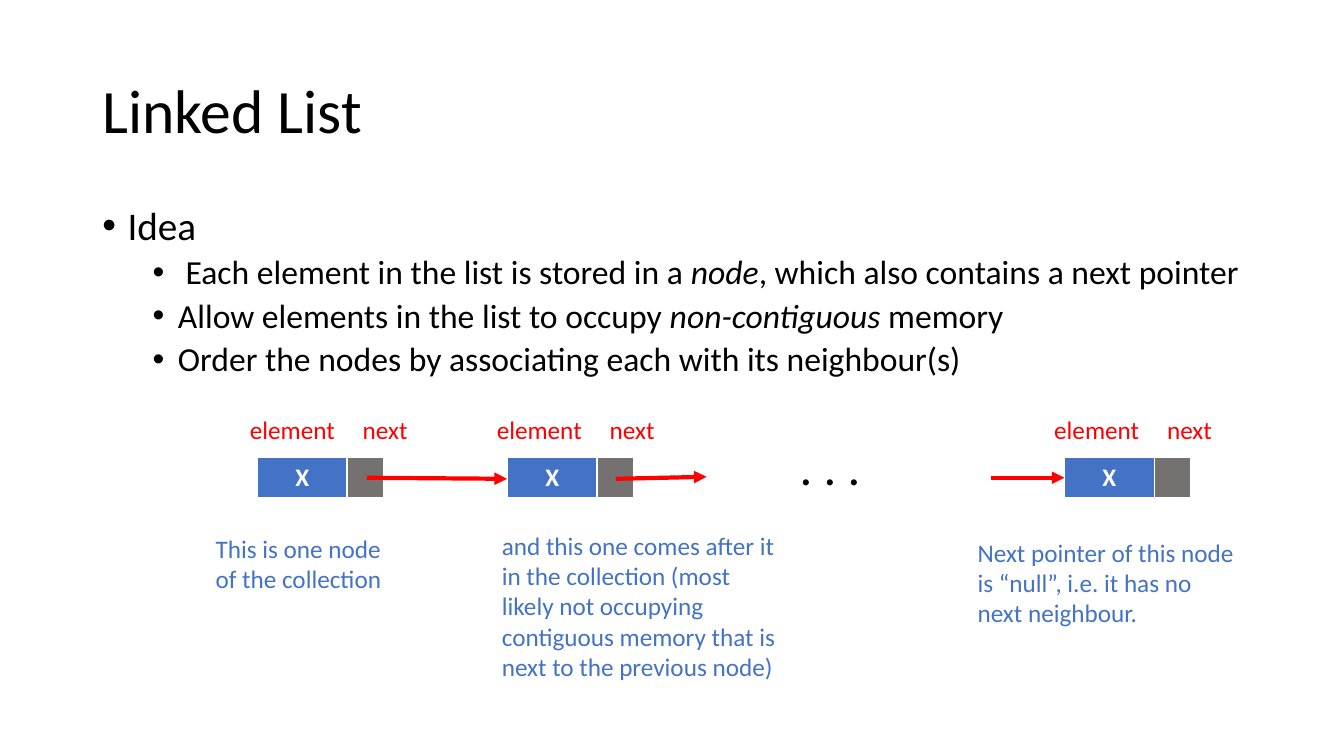
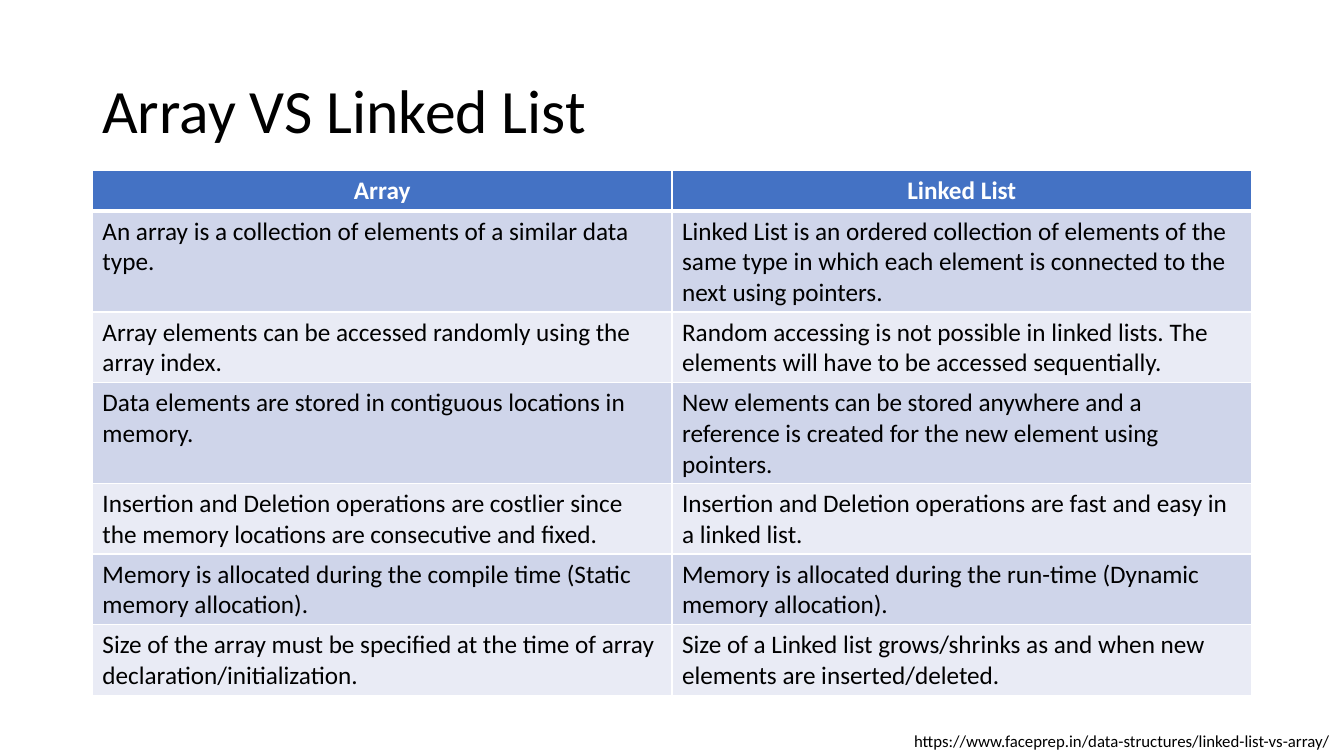
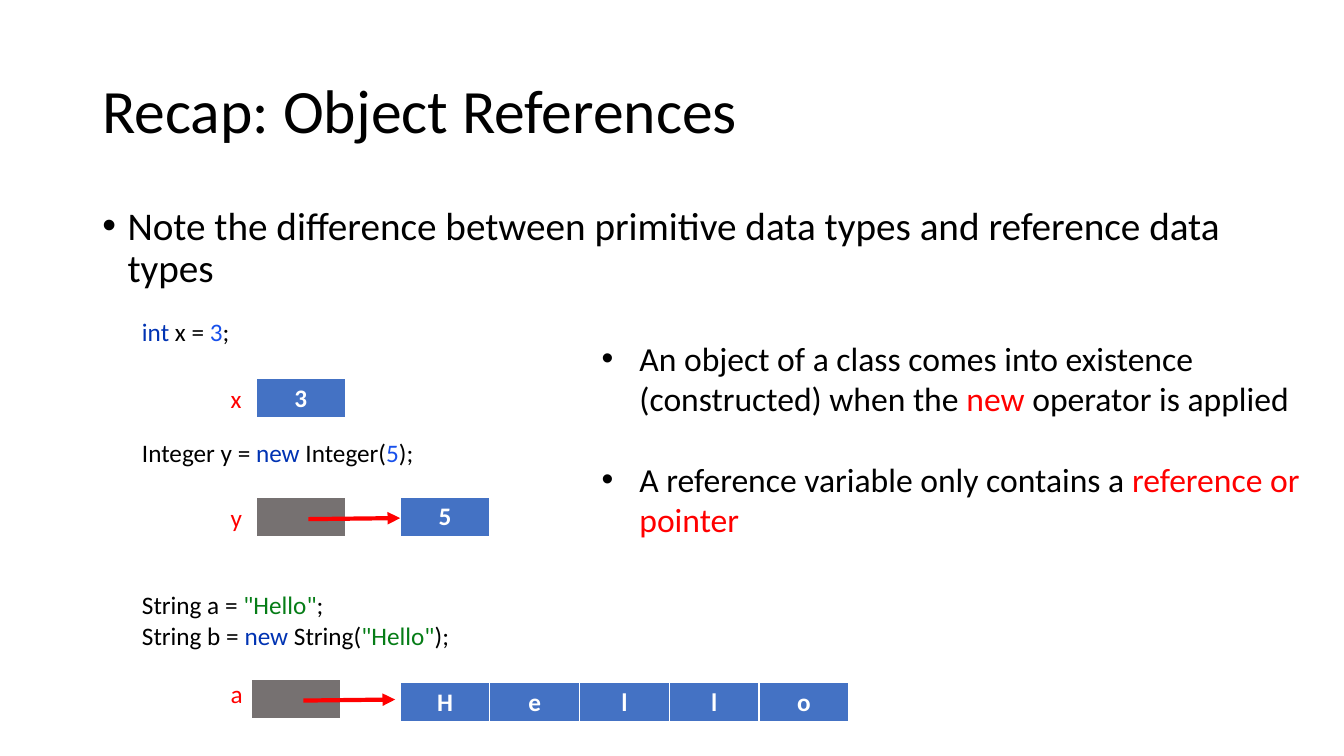
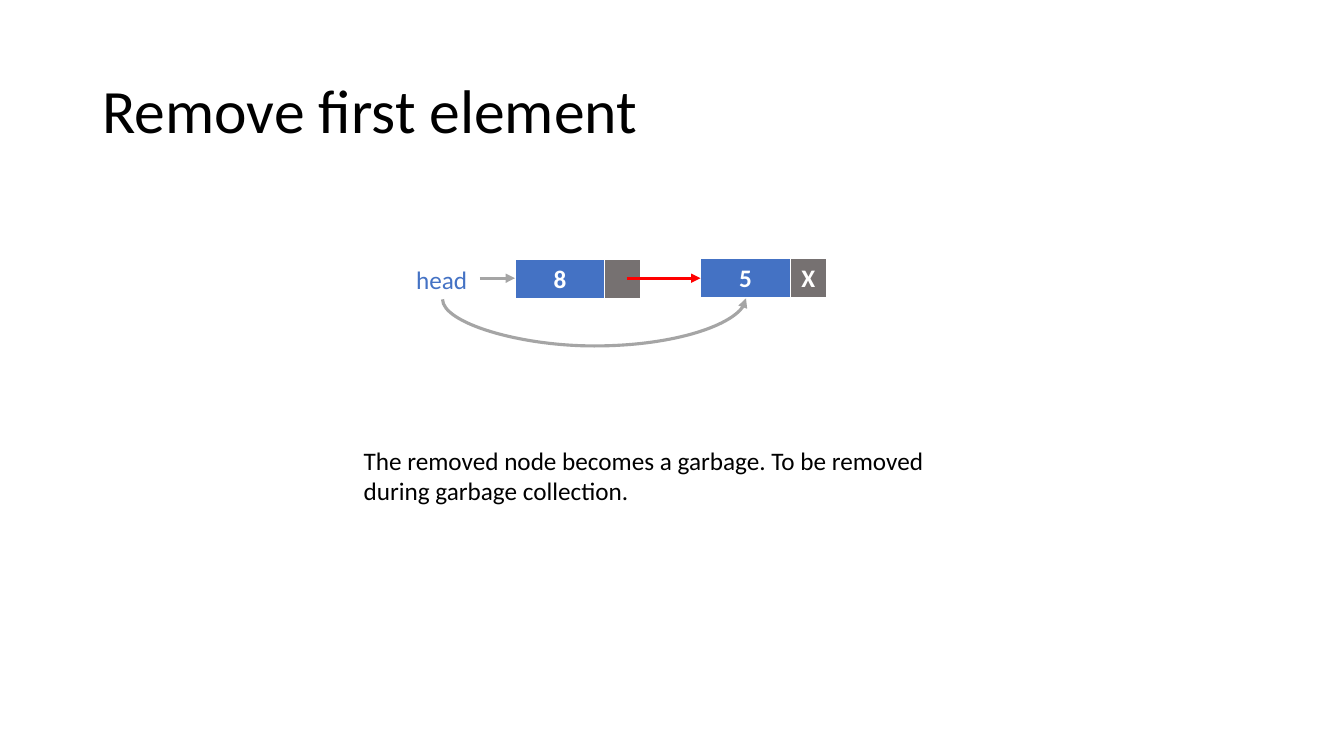
import dataclasses

import lxml.etree
import pptx
import pptx.dml.color
import pptx.enum.shapes
import pptx.enum.text
import pptx.oxml.ns
import pptx.util


@dataclasses.dataclass(frozen=True)
class Theme:
    font: str = "Calibri"
    ink: str = "000000"
    paper: str = "FFFFFF"
    blue: str = "4472C4"
    pointer: str = "767171"
    red: str = "FF0000"
    silver: str = "A5A5A5"
    band_dark: str = "CFD5EA"
    band_light: str = "E9EBF5"
    keyword: str = "0033B3"
    number: str = "1750EB"
    string: str = "067D17"
    title: int = 44
    dots: int = 36
    lead: int = 28
    point: int = 24
    text: int = 18
    source: int = 12


theme = Theme()
rgb = pptx.dml.color.RGBColor.from_string
qn = pptx.oxml.ns.qn
sub = lxml.etree.SubElement

deck = pptx.Presentation()
deck.slide_width = pptx.util.Inches(13.33)
deck.slide_height = pptx.util.Inches(7.5)
COL = deck.slide_width / 80
ROW = deck.slide_height / 45

# Shared measures, in grid columns and rows
EDGE, CONTENT = 5.5, 69
VALUE, POINTER, CELL_ROW = 5.34, 2.15, 2.43
LABEL_ROW = 2.4


def add_text(slide, left, top, width, height, paragraphs, size=theme.text,
             colour=theme.ink, spacing=None, middle=False):
    """Each paragraph is (runs, points before, bullet margin, hang, size);
    only the runs are required, and a run is (text, colour, italic)."""
    box = slide.shapes.add_textbox(round(left * COL), round(top * ROW),
                                   round(width * COL), round(height * ROW))
    frame = box.text_frame
    frame.word_wrap = True
    if middle:
        frame.vertical_anchor = pptx.enum.text.MSO_ANCHOR.MIDDLE
    for index, (runs, *style) in enumerate(paragraphs):
        before, margin, hang, own_size = style + [0, 0, 0, size][len(style):]
        paragraph = frame.paragraphs[0] if index == 0 else frame.add_paragraph()
        if hang:
            properties = paragraph._p.get_or_add_pPr()
            properties.set("marL", str(round(margin * COL)))
            properties.set("indent", str(round(-hang * COL)))
            sub(properties, qn("a:buFont"), typeface="Arial")
            sub(properties, qn("a:buChar"), char="•")
        paragraph.space_before = pptx.util.Pt(before)
        if spacing:
            paragraph.line_spacing = spacing
        for words, *look in runs:
            run = paragraph.add_run()
            run.text = words
            run.font.name = theme.font
            run.font.size = pptx.util.Pt(own_size)
            run.font.color.rgb = rgb(look[0] if look else colour)
            run.font.italic = True if len(look) > 1 else None


def add_cells(slide, left, top, widths, heights, rows, fills, header=True):
    """Table with one fill per row and white rules, heavier below the header."""
    table = slide.shapes.add_table(
        len(heights), len(widths), round(left * COL), round(top * ROW),
        round(sum(widths) * COL), round(sum(heights) * ROW)).table
    table.first_row = header
    table.horz_banding = False
    for column, width in zip(table.columns, widths):
        column.width = round(width * COL)
    for r, (height, entries, fill) in enumerate(zip(heights, rows, fills)):
        table.rows[r].height = round(height * ROW)
        heading = r == 0
        for c, words in enumerate(entries):
            cell = table.cell(r, c)
            cell.fill.solid()
            cell.fill.fore_color.rgb = rgb(fill)
            properties = cell._tc.get_or_add_tcPr()
            for place, side in enumerate(("lnL", "lnR", "lnT", "lnB")):
                heavy = (heading and side == "lnB") or (r == 1 and side == "lnT")
                rule = lxml.etree.Element(
                    qn("a:" + side), w=str(pptx.util.Pt(3 if heavy else 1)))
                sub(sub(rule, qn("a:solidFill")), qn("a:srgbClr"), val=theme.paper)
                properties.insert(place, rule)
            paragraph = cell.text_frame.paragraphs[0]
            paragraph.font.size = pptx.util.Pt(theme.text)
            if heading:
                paragraph.alignment = pptx.enum.text.PP_ALIGN.CENTER
            if words:
                run = paragraph.add_run()
                run.text = words
                run.font.name = theme.font
                run.font.size = pptx.util.Pt(theme.text)
                run.font.bold = heading
                run.font.color.rgb = rgb(theme.paper if heading else theme.ink)


slides = []
for heading in ("Linked List", "Array VS Linked List",
                "Recap: Object References", "Remove first element"):
    slide = deck.slides.add_slide(deck.slide_layouts[6])
    add_text(slide, EDGE, 2.4, CONTENT, 8.7, [([(heading,)],)],
             theme.title, spacing=0.9, middle=True)
    slides.append(slide)
idea, comparison, references, removal = slides

# Linked List
add_text(idea, EDGE, 12, CONTENT, 28.56, [
    ([("Idea",)], 0, 1.5, 1.5, theme.lead),
    ([(" Each element in the list is stored in a ",), ("node", theme.ink, True),
      (", which also contains a next pointer",)], 5, 4.5, 1.5),
    ([("Allow elements in the list to occupy ",),
      ("non-contiguous ", theme.ink, True), ("memory",)], 5, 4.5, 1.5),
    ([("Order the nodes by associating each with its neighbour(s)",)], 5, 4.5, 1.5),
], theme.point, spacing=0.9)

for node_left, label_left in ((15.32, 14.28), (30.2, 28.98), (63.36, 62.16)):
    add_cells(idea, node_left, 27.25, [VALUE], [CELL_ROW], [["X"]], [theme.blue])
    add_cells(idea, node_left + VALUE, 27.25, [POINTER], [CELL_ROW], [[""]],
              [theme.pointer])
    add_text(idea, label_left, 24.36, 6.4, LABEL_ROW, [([("element",)],)],
             colour=theme.red)
    add_text(idea, label_left + 6.72, 24.36, 3.9, LABEL_ROW, [([("next",)],)],
             colour=theme.red)

add_text(idea, 47, 25.62, 5.6, 4.26, [([(". . .",)],)], theme.dots)
for left, top, width, height, lines in (
        (12.24, 31.44, 11.5, 4.26, ["This is one node", "of the collection"]),
        (29.28, 31.26, 17.7, 9.72,
         ["and this one comes after it in the collection (most likely not "
          "occupying contiguous memory that is next to the previous node)"]),
        (57.6, 31.68, 16.56, 7.86,
         ["Next pointer of this node is “null”, i.e. it has no next neighbour."])):
    add_text(idea, left, top, width, height, [([(line,)],) for line in lines],
             colour=theme.blue)

# Array VS Linked List
contrasts = [
    ["Array", "Linked List"],
    ["An array is a collection of elements of a similar data type.",
     "Linked List is an ordered collection of elements of the same type in which "
     "each element is connected to the next using pointers."],
    ["Array elements can be accessed randomly using the array index.",
     "Random accessing is not possible in linked lists. The elements will have to "
     "be accessed sequentially."],
    ["Data elements are stored in contiguous locations in memory.",
     "New elements can be stored anywhere and a reference is created for the new "
     "element using pointers."],
    ["Insertion and Deletion operations are costlier since the memory locations "
     "are consecutive and fixed.",
     "Insertion and Deletion operations are fast and easy in a linked list."],
    ["Memory is allocated during the compile time (Static memory allocation).",
     "Memory is allocated during the run-time (Dynamic memory allocation)."],
    ["Size of the array must be specified at the time of array "
     "declaration/initialization.",
     "Size of a Linked list grows/shrinks as and when new elements are "
     "inserted/deleted."],
]
two_lines, three_lines = 4.2, 6
add_cells(comparison, EDGE, 10.14, [CONTENT / 2] * 2,
          [CELL_ROW, three_lines, two_lines, three_lines] + [two_lines] * 3,
          contrasts, [theme.blue] + [theme.band_dark, theme.band_light] * 3)
add_text(comparison, 53.82, 43.2, 26.18, 1.8,
         [([("https://www.faceprep.in/data-structures/linked-list-vs-array/",)],)],
         theme.source)

# Recap: Object References
add_text(references, EDGE, 12, CONTENT, 28.56, [
    ([("Note the difference between primitive data types and reference data types",)],
     0, 1.5, 1.5)], theme.lead, spacing=0.9)
add_text(references, 7.86, 18.54, 40, 20.58, [
    ([("int ", theme.keyword), ("x = ",), ("3", theme.number), (";",)],),
    ([("Integer y = ",), ("new ", theme.keyword), ("Integer(",),
      ("5", theme.number), (");",)], 65),
    ([("String a = ",), ('"Hello"', theme.string), (";",)], 87),
    ([("String b = ",), ("new ", theme.keyword), ("String(",),
      ('"Hello"', theme.string), (");",)],),
])
add_text(references, 35.22, 19.8, 42.84, 12.72, [
    ([("An object of a class comes into existence (constructed) when the ",),
      ("new", theme.red), (" operator is applied",)], 0, 2.25, 2.25),
    ([("A reference variable only contains a ",),
      ("reference or pointer", theme.red)], 29, 2.25, 2.25),
], theme.point)

for left, top, letters, fill in (
        (15.24, 22.5, "3", theme.blue), (15.24, 29.58, "", theme.pointer),
        (23.82, 29.58, "5", theme.blue), (14.94, 40.44, "", theme.pointer),
        (23.82, 40.62, "Hello", theme.blue)):
    entries = list(letters) or [""]
    add_cells(references, left, top, [VALUE] * len(entries), [CELL_ROW],
              [entries], [fill])
for variable, top in (("x", 22.5), ("y", 29.58), ("a", 40.08)):
    add_text(references, 13.14, top, 1.92, LABEL_ROW, [([(variable,)],)],
             colour=theme.red)

# Remove first element
for left, top, value, link in ((30.66, 15.42, "8", ""), (41.7, 15.36, "5", "X")):
    add_cells(removal, left, top, [VALUE], [CELL_ROW], [[value]], [theme.blue])
    add_cells(removal, left + VALUE, top, [POINTER], [CELL_ROW], [[link]],
              [theme.pointer])
add_text(removal, 24.18, 15.42, 4.32, LABEL_ROW, [([("head",)],)], colour=theme.blue)
add_text(removal, 21.06, 26.22, 34.98, 4.26, [
    ([("The removed node becomes a garbage. To be removed during garbage "
       "collection.",)],)])

# The arc is a curved connector turned a quarter: its box is thin and tall
kinds = pptx.enum.shapes.MSO_CONNECTOR
arc_rise, arc_span, arc_depth = 0.06, 18.06, 2.82
arc_left, arc_top = 35.34, 8.76
arrows = [
    (idea, kinds.STRAIGHT, 21.84, 28.44, 30.18, 28.5, theme.red, 3),
    (idea, kinds.STRAIGHT, 36.66, 28.5, 42.06, 28.38, theme.red, 3),
    (idea, kinds.STRAIGHT, 58.98, 28.44, 63.36, 28.44, theme.red, 3),
    (references, kinds.STRAIGHT, 18.36, 30.9, 23.82, 30.84, theme.red, 3),
    (references, kinds.STRAIGHT, 18.06, 41.7, 23.52, 41.64, theme.red, 3),
    (removal, kinds.STRAIGHT, 28.56, 16.56, 30.66, 16.56, theme.silver, 2.25),
    (removal, kinds.STRAIGHT, 37.32, 16.56, 41.7, 16.56, theme.red, 2.25),
    (removal, kinds.CURVE, arc_left, arc_top, arc_left + arc_rise,
     arc_top + arc_span, theme.silver, 2.25),
]
for slide, kind, x1, y1, x2, y2, colour, weight in arrows:
    arrow = slide.shapes.add_connector(kind, round(x1 * COL), round(y1 * ROW),
                                       round(x2 * COL), round(y2 * ROW))
    arrow.line.color.rgb = rgb(colour)
    arrow.line.width = pptx.util.Pt(weight)
    sub(arrow.line._get_or_add_ln(), qn("a:tailEnd"), type="triangle")
    properties = arrow._element.spPr
    sub(properties, qn("a:effectLst"))
    if kind == kinds.CURVE:
        for key, setting in (("rot", "5400000"), ("flipH", "1"), ("flipV", "1")):
            properties.find(qn("a:xfrm")).set(key, setting)
        bend = round(-arc_depth / arc_rise * 100000)
        sub(properties.find(qn("a:prstGeom")).find(qn("a:avLst")), qn("a:gd"),
            name="adj1", fmla=f"val {bend}")

deck.save("out.pptx")
